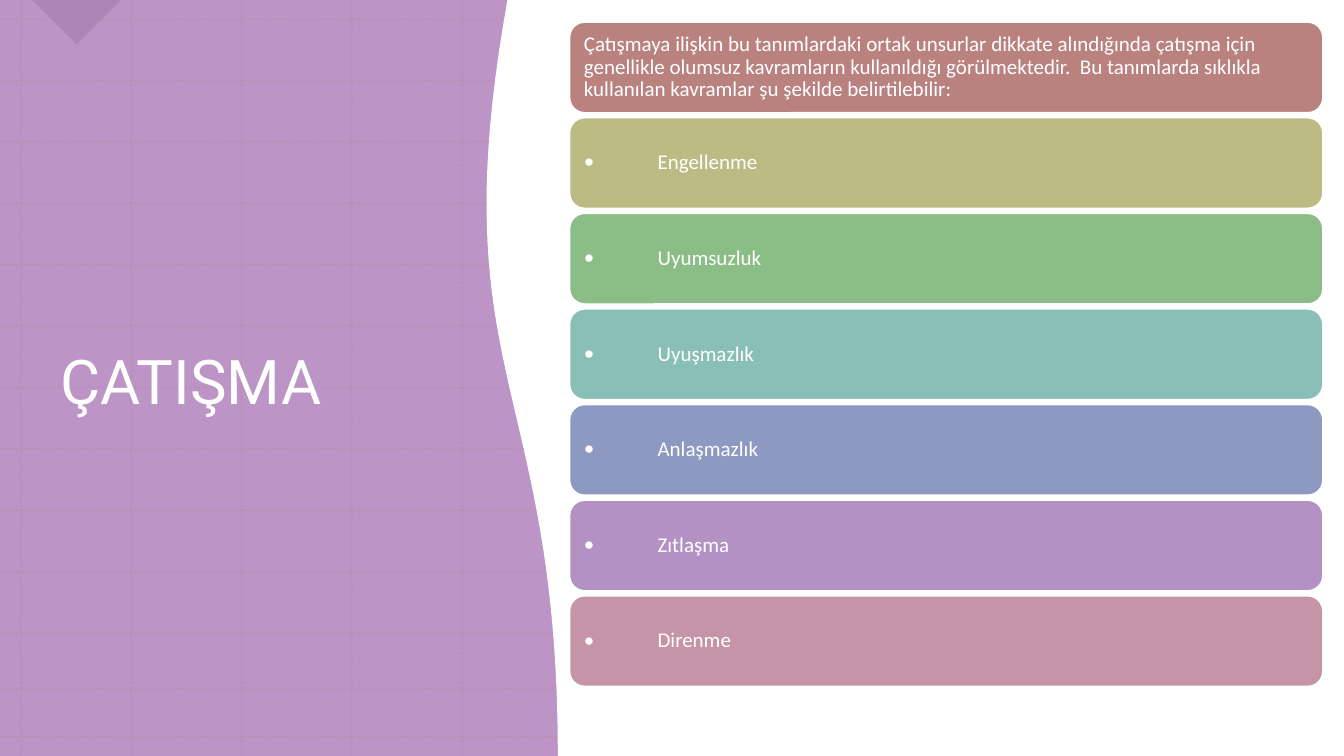
from lxml.etree import SubElement
from pptx import Presentation
from pptx.dml.color import RGBColor
from pptx.enum.dml import MSO_LINE
from pptx.enum.shapes import MSO_CONNECTOR, MSO_SHAPE
from pptx.enum.text import MSO_ANCHOR, MSO_AUTO_SIZE, PP_ALIGN
from pptx.oxml.ns import qn
from pptx.util import Inches, Pt

COLORS = {
    "white": "FFFFFF", "panel": "BC94C5", "grid": "BA827F", "corner": "663D70",
    "rose": "BA827F", "olive": "BCBB83", "green": "8BBE86", "teal": "8ABFB7",
    "blue": "8D99C1", "violet": "B491C3", "pink": "C594A6",
}
INTRO = ("Çatışmaya ilişkin bu tanımlardaki ortak unsurlar dikkate alındığında "
         "çatışma için genellikle olumsuz kavramların kullanıldığı görülmektedir.  "
         "Bu tanımlarda sıklıkla kullanılan kavramlar şu şekilde belirtilebilir:")
CONCEPTS = [
    ("Engellenme", "olive"), ("Uyumsuzluk", "green"), ("Uyuşmazlık", "teal"),
    ("Anlaşmazlık", "blue"), ("Zıtlaşma", "violet"), ("Direnme", "pink"),
]


def rgb(name):
    return RGBColor.from_string(COLORS[name])


def set_opacity(element, percent):
    color = next(element.iter(qn("a:srgbClr")))
    SubElement(color, qn("a:alpha")).set("val", str(percent * 1000))


def add_filled(slide, kind, box, color):
    shape = slide.shapes.add_shape(kind, *map(Inches, box))
    shape.shadow.inherit = False
    shape.fill.solid()
    shape.fill.fore_color.rgb = rgb(color)
    shape.line.fill.background()
    return shape


def add_grid_line(slide, x1, y1, x2, y2):
    line = slide.shapes.add_connector(
        MSO_CONNECTOR.STRAIGHT, *map(Inches, (x1, y1, x2, y2)))
    line.line.color.rgb = rgb("grid")
    line.line.width = Pt(1.5)
    line.line.dash_style = MSO_LINE.ROUND_DOT
    properties = line.element.spPr
    set_opacity(properties, 20)
    SubElement(properties, qn("a:effectLst"))


def add_panel(slide, box):
    left, top, width, height = box
    add_filled(slide, MSO_SHAPE.RECTANGLE, box, "panel")
    corner = add_filled(slide, MSO_SHAPE.RIGHT_TRIANGLE,
                        (left + 0.45, top - 0.31, 0.62, 0.62), "corner")
    corner.rotation = 315
    set_opacity(corner.element.spPr, 17)
    for column in range(5):
        x = left + 0.21 + 1.093 * column
        add_grid_line(slide, x, top, x, top + height)
    for offset in [0.19 + 0.609 * row for row in range(11)] + [6.83, 7.31]:
        add_grid_line(slide, left, top + offset, left + width, top + offset)


def curve_points(start, control1, control2, end, steps=40):
    for step in range(steps + 1):
        t = step / steps
        weights = ((1 - t) ** 3, 3 * t * (1 - t) ** 2, 3 * t * t * (1 - t), t ** 3)
        yield tuple(
            Inches(sum(w * value for w, value in zip(weights, axis)))
            for axis in zip(start, control1, control2, end))


def add_white_wave(slide, box):
    left, top, width, height = box
    right, bottom = left + width, top + height
    edge = curve_points((left + 0.5, bottom), (left + 0.5, top + 3.76),
                        (left - 0.67, top + 3.74), (left, top))
    builder = slide.shapes.build_freeform(Inches(right), Inches(top))
    builder.add_line_segments([(Inches(right), Inches(bottom)), *edge])
    wave = builder.convert_to_shape()
    wave.shadow.inherit = False
    wave.fill.solid()
    wave.fill.fore_color.rgb = rgb("white")
    wave.line.color.rgb = rgb("white")
    wave.line.width = Pt(1)


def style_paragraph(paragraph, font_name, size):
    paragraph.alignment = PP_ALIGN.LEFT
    paragraph.line_spacing = 0.9
    paragraph.font.name = font_name
    paragraph.font.size = Pt(size)
    paragraph.font.color.rgb = rgb("white")


def place_title(slide, box):
    title = slide.shapes.title
    title.left, title.top, title.width, title.height = map(Inches, box)
    frame = title.text_frame
    frame.text = "ÇATIŞMA"
    frame.word_wrap = True
    frame.auto_size = MSO_AUTO_SIZE.NONE
    frame.vertical_anchor = MSO_ANCHOR.MIDDLE
    style_paragraph(frame.paragraphs[0], "Roboto", 44)
    title.element.getparent().append(title.element)


def add_bullet(paragraph):
    properties = paragraph._p.get_or_add_pPr()
    properties.set("marL", str(Inches(0.73)))
    properties.set("indent", str(Inches(-0.73)))
    SubElement(properties, qn("a:buFont")).set("typeface", "Calibri")
    SubElement(properties, qn("a:buChar")).set("char", "•")


def add_card(slide, box, text, color, bulleted):
    card = add_filled(slide, MSO_SHAPE.ROUNDED_RECTANGLE, box, color)
    card.line.color.rgb = rgb("white")
    card.line.width = Pt(1)
    frame = card.text_frame
    frame.word_wrap = True
    frame.vertical_anchor = MSO_ANCHOR.MIDDLE
    frame.margin_left = frame.margin_right = Inches(0.1)
    frame.margin_top = frame.margin_bottom = Inches(0.1)
    frame.text = text
    paragraph = frame.paragraphs[0]
    if bulleted:
        add_bullet(paragraph)
    style_paragraph(paragraph, "Calibri", 15)


def add_concept_list(slide, box):
    left, top, width, height = box
    gap = 0.05
    cards = [(INTRO, "rose"), *CONCEPTS]
    card_height = (height - gap * (len(cards) - 1)) / len(cards)
    for row, (text, color) in enumerate(cards):
        card_top = top + row * (card_height + gap)
        add_card(slide, (left, card_top, width, card_height), text, color, row > 0)


def main():
    presentation = Presentation()
    presentation.slide_width = Inches(13.33)
    presentation.slide_height = Inches(7.5)
    slide = presentation.slides.add_slide(presentation.slide_layouts[5])
    add_panel(slide, (0, 0, 13.33, 7.5))
    place_title(slide, (0.5, 0.79, 4.08, 6.05))
    add_white_wave(slide, (5.04, 0, 8.3, 7.5))
    add_concept_list(slide, (5.65, 0.22, 7.47, 6.59))
    presentation.save("out.pptx")


if __name__ == "__main__":
    main()
